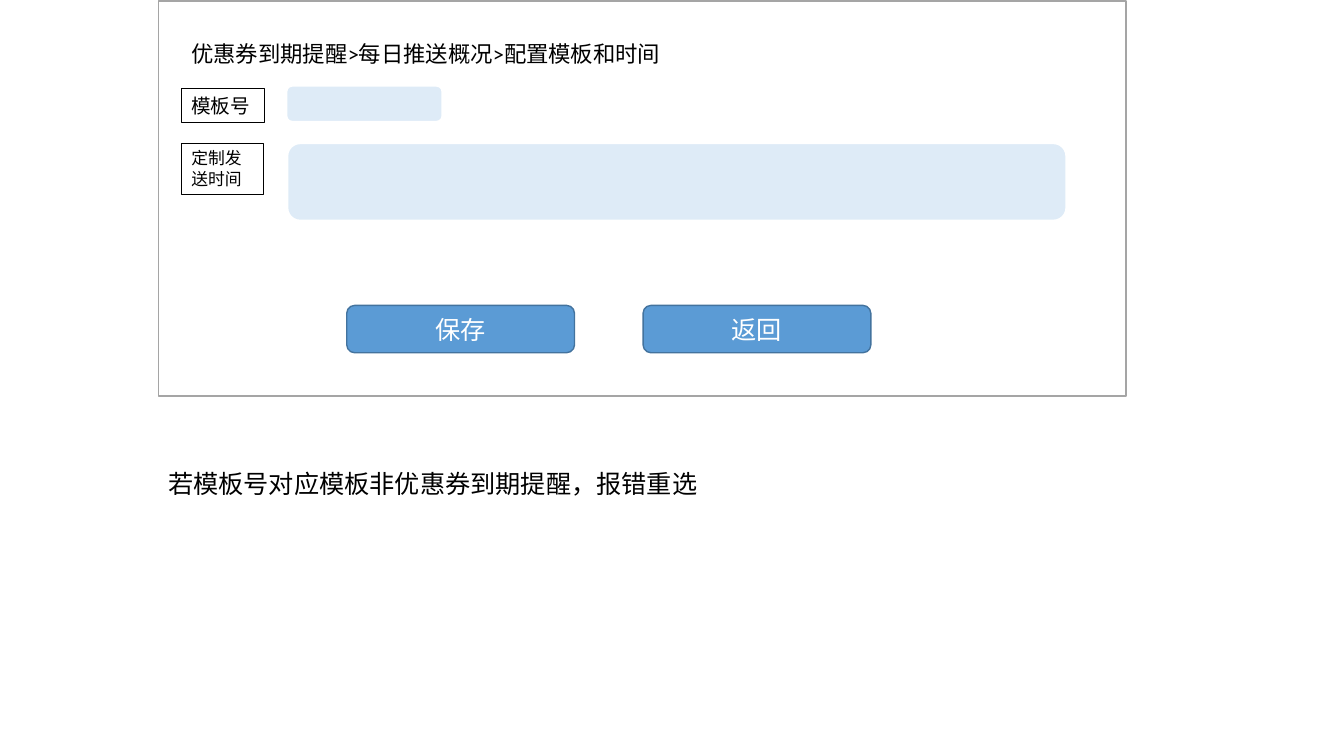
"""Build the template and time configuration screen of the coupon reminder."""
from dataclasses import dataclass

import pptx
import pptx.dml.color
import pptx.enum.shapes
import pptx.enum.text
import pptx.shapes.autoshape
import pptx.slide
import pptx.util

CELL = pptx.util.Inches(0.1)
COLUMNS, ROWS = 133.33, 75
RECT = pptx.enum.shapes.MSO_SHAPE.RECTANGLE
ROUND = pptx.enum.shapes.MSO_SHAPE.ROUNDED_RECTANGLE
TOP = pptx.enum.text.MSO_ANCHOR.TOP
MIDDLE = pptx.enum.text.MSO_ANCHOR.MIDDLE
LEFT = pptx.enum.text.PP_ALIGN.LEFT
CENTER = pptx.enum.text.PP_ALIGN.CENTER

Area = tuple[float, float, float, float]


@dataclass(frozen=True)
class BoxStyle:
    geometry: pptx.enum.shapes.MSO_SHAPE
    fill: str | None
    line: str
    weight: float


@dataclass(frozen=True)
class TextStyle:
    size: float
    color: str = "000000"
    align: pptx.enum.text.PP_ALIGN = LEFT
    anchor: pptx.enum.text.MSO_ANCHOR = TOP
    spacing: float = 1.0


@dataclass(frozen=True)
class Item:
    area: Area
    box: BoxStyle | None = None
    text: str = ""
    style: TextStyle | None = None


PANEL = BoxStyle(RECT, "FFFFFF", "A5A5A5", 1)
FIELD = BoxStyle(ROUND, "DEEBF7", "FFFFFF", 1.5)
LABEL = BoxStyle(RECT, None, "000000", 0.75)
BUTTON = BoxStyle(ROUND, "5B9BD5", "43739E", 1)
BUTTON_TEXT = TextStyle(18, "FFFFFF", CENTER, MIDDLE)
BUTTON_LEFT, BUTTON_STEP = 34.4, 29.4

ITEMS = [
    Item((15.7, 0.1, 96, 39.2), PANEL),
    Item((18, 2.3, 53.8, 6.4), None, "优惠券到期提醒>每日推送概况>配置模板和时间",
         TextStyle(16, anchor=MIDDLE, spacing=0.9)),
    Item((28.5, 14.2, 77.3, 7.7), FIELD),
    Item((18, 14.2, 8.15, 5.05), LABEL, "定制发送时间", TextStyle(12)),
    *(Item((BUTTON_LEFT + i * BUTTON_STEP, 30.3, 22.6, 4.7), BUTTON, text, BUTTON_TEXT)
      for i, text in enumerate(("保存", "返回"))),
    Item((28.4, 8.5, 15.5, 3.6), FIELD),
    Item((18, 8.8, 8.2, 3.4), LABEL, "模板号", TextStyle(14)),
    Item((15.7, 46, 94.4, 4), None, "若模板号对应模板非优惠券到期提醒，报错重选", TextStyle(18)),
]


def rgb(color: str) -> pptx.dml.color.RGBColor:
    """Turn a hex string into a colour."""
    return pptx.dml.color.RGBColor.from_string(color)


def paint_box(sp: pptx.shapes.autoshape.Shape, box: BoxStyle) -> None:
    """Set the fill and outline of a shape."""
    sp.shadow.inherit = False
    if box.fill is None:
        sp.fill.background()
    else:
        sp.fill.solid()
        sp.fill.fore_color.rgb = rgb(box.fill)
    sp.line.color.rgb = rgb(box.line)
    sp.line.width = pptx.util.Pt(box.weight)


def write_text(sp: pptx.shapes.autoshape.Shape, text: str, style: TextStyle) -> None:
    """Write one paragraph into a shape and format it."""
    tf = sp.text_frame
    tf.text = text
    tf.word_wrap = True
    tf.vertical_anchor = style.anchor
    p = tf.paragraphs[0]
    p.alignment = style.align
    p.line_spacing = style.spacing
    for r in p.runs:
        r.font.name = "Calibri"
        r.font.size = pptx.util.Pt(style.size)
        r.font.color.rgb = rgb(style.color)


def draw_item(s: pptx.slide.Slide, item: Item) -> None:
    """Draw a box or a plain text block on the grid."""
    left, top, width, height = (round(n * CELL) for n in item.area)
    if item.box:
        sp = s.shapes.add_shape(item.box.geometry, left, top, width, height)
        paint_box(sp, item.box)
    else:
        sp = s.shapes.add_textbox(left, top, width, height)
    if item.style:
        write_text(sp, item.text, item.style)


def main() -> None:
    """Create the slide and save it."""
    prs = pptx.Presentation()
    prs.slide_width = round(COLUMNS * CELL)
    prs.slide_height = ROWS * CELL
    s = prs.slides.add_slide(prs.slide_layouts[6])
    for item in ITEMS:
        draw_item(s, item)
    prs.save("out.pptx")


if __name__ == "__main__":
    main()
